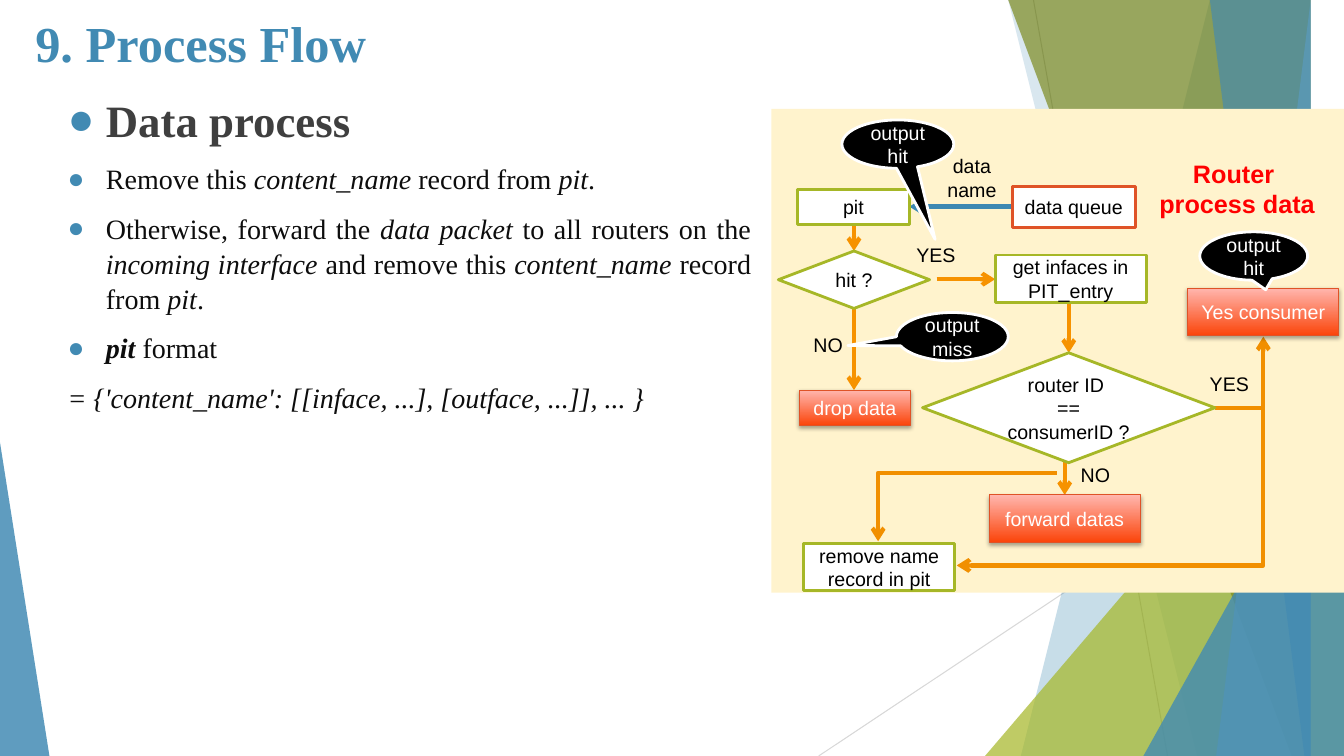
from lxml import etree
from pptx import Presentation
from pptx.dml.color import RGBColor
from pptx.enum import dml, shapes, text
from pptx.oxml import ns
from pptx.util import Inches, Pt

WHITE = RGBColor(0xFF, 0xFF, 0xFF)
BLACK = RGBColor(0, 0, 0)
RED = RGBColor(0xFF, 0, 0)
BLUE = RGBColor(0x41, 0x8A, 0xB3)
ARROW_BLUE = RGBColor(0x3D, 0x88, 0xB2)
PALE_BLUE = RGBColor(0x89, 0xB8, 0xD4)
GREEN = RGBColor(0xA6, 0xB7, 0x27)
OLIVE = RGBColor(0x7C, 0x89, 0x1D)
ORANGE = RGBColor(0xF6, 0x92, 0x00)
DARK_ORANGE = RGBColor(0xF1, 0x8F, 0x00)
RUST = RGBColor(0xDF, 0x53, 0x27)
FLAME = RGBColor(0xFB, 0x45, 0x0B)
PINK = RGBColor(0xFF, 0xB6, 0xAE)
CREAM = RGBColor(0xFF, 0xF3, 0xCD)
CHARCOAL = RGBColor(0x3F, 0x3F, 0x3F)
INK = RGBColor(0x0D, 0x0D, 0x0D)
GREY = RGBColor(0xBF, 0xBF, 0xBF)
LIGHT_GREY = RGBColor(0xD8, 0xD8, 0xD8)

WIDTH, HEIGHT = 13.33, 7.5
SERIF, SANS = "Times New Roman", "Arial"
SHAPE = shapes.MSO_SHAPE
CENTER = text.PP_ALIGN.CENTER
JUSTIFY = text.PP_ALIGN.JUSTIFY


def add_child(parent, tag, **attributes):
    return etree.SubElement(parent, ns.qn(tag), attributes)


def set_solid(shape, color, opacity=100):
    shape.shadow.inherit = False
    shape.fill.solid()
    shape.fill.fore_color.rgb = color
    shape.line.fill.background()
    if opacity < 100:
        tint = shape.element.spPr.find(".//" + ns.qn("a:srgbClr"))
        add_child(tint, "a:alpha", val=str(opacity * 1000))


def add_span(para, words, font, size, color, bold=False, italic=False):
    span = para.add_run()
    span.text = words
    span.font.name, span.font.size = font, Pt(size)
    span.font.color.rgb = color
    span.font.bold, span.font.italic = bold, italic


def write_lines(shape, lines, color=BLACK, size=14, bold=False, align=CENTER):
    frame = shape.text_frame
    frame.word_wrap = True
    for number, words in enumerate(lines):
        para = frame.add_paragraph() if number else frame.paragraphs[0]
        para.alignment = align
        add_span(para, words, SANS, size, color, bold)


def add_line(page, start, end, color, width, elbow=None):
    kind = shapes.MSO_CONNECTOR.ELBOW if elbow else shapes.MSO_CONNECTOR.STRAIGHT
    line = page.shapes.add_connector(kind, *map(Inches, start + end))
    line.line.color.rgb = color
    line.line.width = Pt(width)
    properties = line.element.spPr
    add_child(properties, "a:effectLst")
    if elbow:
        geometry = properties.find(ns.qn("a:prstGeom"))
        geometry.set("prst", elbow)
        if elbow == "bentConnector3":
            guides = geometry.find(ns.qn("a:avLst"))
            add_child(guides, "a:gd", name="adj1", fmla="val 0")
    return line


def draw_backdrop(page):
    add_line(page, (10.25, 0), (11.58, HEIGHT), GREY, 0.75)
    add_line(page, (WIDTH, 4.03), (8.12, HEIGHT), LIGHT_GREY, 0.75)

    def add_band(top_left, bottom_left, color, opacity):
        outline = page.shapes.build_freeform(top_left, 0, scale=Inches(1))
        outline.add_line_segments([(WIDTH, 0), (WIDTH, HEIGHT), (bottom_left, HEIGHT)])
        set_solid(outline.convert_to_shape(), color, opacity)

    def add_wedge(left, top, width, apex, color, opacity):
        box = map(Inches, (left, top, width, HEIGHT - top))
        wedge = page.shapes.add_shape(SHAPE.ISOSCELES_TRIANGLE, *box)
        wedge.adjustments[0] = apex
        set_solid(wedge, color, opacity)

    add_band(12.28, 10.04, BLUE, 29)
    add_band(10.5, 11.83, BLUE, 20)
    add_wedge(9.77, 3.33, 3.56, 1, GREEN, 71)
    add_band(10.21, 12.91, OLIVE, 69)
    add_band(13.03, 11.92, PALE_BLUE, 69)
    add_band(11.96, 13.18, BLUE, 64)
    add_wedge(11.34, 3.93, 1.99, 1, BLUE, 80)
    add_wedge(0, 4.39, 0.49, 0, BLUE, 84)


def place(holder, box):
    holder.left, holder.top, holder.width, holder.height = map(Inches, box)
    holder.element.getparent().append(holder.element)
    frame = holder.text_frame
    frame.auto_size = text.MSO_AUTO_SIZE.NONE
    frame.vertical_anchor = text.MSO_ANCHOR.TOP
    frame.word_wrap = True
    return frame


def write_title(page, box):
    frame = place(page.shapes.title, box)
    frame.margin_left, frame.margin_top = Inches(0.35), Inches(0.11)
    para = frame.paragraphs[0]
    para.alignment = text.PP_ALIGN.LEFT
    add_span(para, "9. Process Flow", SERIF, 36, BLUE, bold=True)


def write_body(page, box):
    frame = place(page.placeholders[1], box)
    items = [
        (True, JUSTIFY, [("Data process", "b")]),
        (True, JUSTIFY, [("Remove this ", ""), ("content_name ", "i"),
                         ("record from ", ""), ("pit", "i"), (".", "")]),
        (True, JUSTIFY, [("Otherwise, forward the ", ""), ("data packet", "i"),
                         (" to all routers on the ", ""), ("incoming interface", "i"),
                         (" and remove this ", ""), ("content_name ", "i"),
                         ("record from ", ""), ("pit", "i"), (".", "")]),
        (True, text.PP_ALIGN.LEFT, [("pit ", "bi"), ("format", "")]),
        (False, text.PP_ALIGN.LEFT,
         [("= {'content_name': [[inface, ...], [outface, ...]], ... }", "i")]),
    ]
    for number, (bulleted, align, spans) in enumerate(items):
        para = frame.add_paragraph() if number else frame.paragraphs[0]
        properties = para._p.get_or_add_pPr()
        properties.set("marL", str(Inches(0.5 if bulleted else 0.12)))
        properties.set("indent", str(Inches(-0.38 if bulleted else 0)))
        if bulleted:
            add_child(add_child(properties, "a:buClr"), "a:srgbClr", val=str(BLUE))
            add_child(properties, "a:buFont", typeface=SANS)
            add_child(properties, "a:buChar", char="●")
        else:
            add_child(properties, "a:buNone")
        para.alignment = align
        para.line_spacing = 1.05
        para.space_before = Pt(10 if number else 0)
        size, color = (20, INK) if number else (32, CHARCOAL)
        for words, style in spans:
            add_span(para, words, SERIF, size, color, "b" in style, "i" in style)


def draw_flowchart(page, box):
    left, top = box[:2]
    set_solid(page.shapes.add_shape(SHAPE.RECTANGLE, *map(Inches, box)), CREAM)

    def inside(x, y, *size):
        return [Inches(value) for value in (left + x, top + y, *size)]

    def add_arrow(start, end, color=ORANGE, elbow=None):
        points = [(left + x, top + y) for x, y in (start, end)]
        arrow = add_line(page, *points, color, 3, elbow)
        add_child(arrow.line._get_or_add_ln(), "a:tailEnd", type="arrow")

    def add_node(kind, spot, lines, fill=WHITE, edge=GREEN, ink=BLACK, weight=2):
        node = page.shapes.add_shape(kind, *inside(*spot))
        set_solid(node, fill)
        node.line.color.rgb, node.line.width = edge, Pt(weight)
        node.text_frame.vertical_anchor = text.MSO_ANCHOR.MIDDLE
        write_lines(node, lines, ink)
        return node

    def add_result(spot, words):
        node = add_node(SHAPE.RECTANGLE, spot, [words], edge=RUST, ink=WHITE, weight=0.75)
        node.fill.gradient()
        node.fill.gradient_angle = 90
        for stop, color in zip(node.fill.gradient_stops, (FLAME, PINK)):
            stop.color.rgb = color
        effects = node.element.spPr.find(ns.qn("a:effectLst"))
        shadow = add_child(effects, "a:outerShdw", blurRad=str(Pt(3.1)),
                           dist=str(Pt(1.8)), dir="5400000", rotWithShape="0")
        add_child(add_child(shadow, "a:srgbClr", val="000000"), "a:alpha", val="35000")

    add_arrow((2.39, 0.97), (1.37, 0.97), ARROW_BLUE)
    for start, end in [((0.82, 1.15), (0.82, 1.41)), ((0.82, 1.98), (0.82, 2.79)),
                       ((1.64, 1.69), (2.22, 1.69)), ((2.95, 1.94), (2.95, 2.42)),
                       ((2.91, 3.49), (2.91, 3.83))]:
        add_arrow(start, end)
    add_arrow((4.4, 2.97), (4.88, 2.26), DARK_ORANGE, "bentConnector2")
    add_arrow((4.88, 2.97), (1.84, 4.53), DARK_ORANGE, "bentConnector3")
    add_arrow((2.83, 3.61), (1.06, 4.29), DARK_ORANGE, "bentConnector2")

    add_node(SHAPE.RECTANGLE, (0.26, 0.8, 1.11, 0.35), ["pit"])
    add_node(SHAPE.RECTANGLE, (2.39, 0.77, 1.22, 0.41), ["data queue"], edge=RUST)
    add_node(SHAPE.DIAMOND, (0.07, 1.41, 1.5, 0.57), ["hit ?"])
    add_node(SHAPE.RECTANGLE, (2.22, 1.45, 1.5, 0.47), ["get infaces in PIT_entry"])
    add_node(SHAPE.DIAMOND, (1.5, 2.42, 2.9, 1.09), ["router ID ", "==", "consumerID ?"])
    add_node(SHAPE.RECTANGLE, (0.32, 4.31, 1.5, 0.47), ["remove name record in pit"])
    add_result((0.28, 2.79, 1.1, 0.35), "drop data")
    add_result((4.13, 1.78, 1.5, 0.47), "Yes consumer")
    add_result((2.16, 3.83, 1.5, 0.47), "forward datas")

    for spot, words, tip in [((1.24, 2.02, 1.11, 0.48), "output miss", (-0.933, 0.184)),
                             ((0.7, 0.11, 1.11, 0.48), "output hit", (0.333, 1.968)),
                             ((4.25, 1.22, 1.07, 0.48), "output hit", (0.111, 0.697))]:
        callout = add_node(SHAPE.OVAL_CALLOUT, spot, [words], BLACK, WHITE, WHITE)
        callout.adjustments[0], callout.adjustments[1] = tip

    for x, y, words in [(0.32, 2.17, "NO"), (2.97, 3.46, "NO"),
                        (1.34, 1.28, "YES"), (4.25, 2.56, "YES")]:
        width = 0.57 if words == "NO" else 0.63
        label = page.shapes.add_textbox(*inside(x, y, width, 0.34))
        write_lines(label, [words], align=text.PP_ALIGN.LEFT)
    data_name = page.shapes.add_textbox(*inside(1.62, 0.4, 0.74, 0.57))
    write_lines(data_name, ["data", "name"])
    heading = page.shapes.add_textbox(*inside(3.61, 0.44, 2.02, 0.71))
    write_lines(heading, ["Router ", "process data"], RED, 18, bold=True)


def main():
    deck = Presentation()
    deck.slide_width, deck.slide_height = Inches(WIDTH), Inches(HEIGHT)
    page = deck.slides.add_slide(deck.slide_layouts[1])
    page.background.fill.solid()
    page.background.fill.fore_color.rgb = WHITE
    draw_backdrop(page)
    write_title(page, (0, 0.01, 10.22, 0.85))
    write_body(page, (0.45, 0.84, 7.1, 6.66))
    draw_flowchart(page, (7.65, 1.08, 5.68, 4.8))
    deck.save("out.pptx")


if __name__ == "__main__":
    main()
